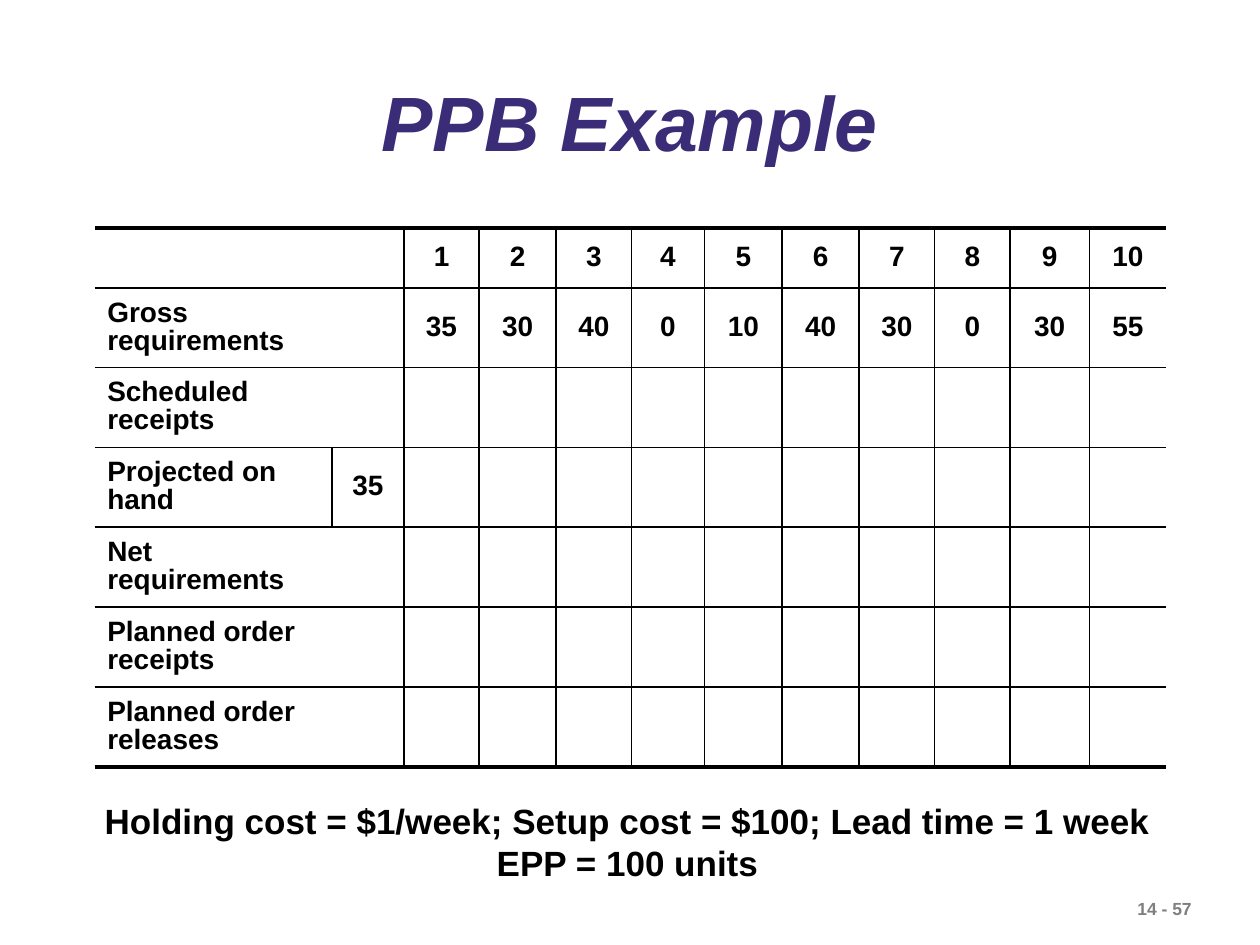
from lxml import etree
from pptx import Presentation
from pptx.dml.color import RGBColor
from pptx.enum.text import MSO_ANCHOR, PP_ALIGN
from pptx.oxml.ns import qn
from pptx.util import Cm, Pt

CENTER, LEFT = PP_ALIGN.CENTER, PP_ALIGN.LEFT
MIDDLE = MSO_ANCHOR.MIDDLE

COLORS = {"title": "3A2C76", "text": "000000", "rule": "000000", "number": "7F7F7F"}
FONT = "Arial"
THIN, THICK = 1.08, 2.21

COL_WIDTHS = [4.78, 1.45, 1.52, 1.55, 1.52, 1.47, 1.57, 1.55, 1.52, 1.52, 1.6, 1.55]
HEADER_HEIGHT, ROW_HEIGHT = 1.2, 1.61
ON_HAND_ROW = 3
PLAN = [
    ["", "", *range(1, 11)],
    ["Gross requirements", "", 35, 30, 40, 0, 10, 40, 30, 0, 30, 55],
    ["Scheduled receipts"],
    ["Projected on hand", 35],
    ["Net requirements"],
    ["Planned order receipts"],
    ["Planned order releases"],
]


def style_paragraph(p, size, color, align=LEFT, italic=False):
    p.alignment = align
    font = p.font
    font.name, font.size = FONT, Pt(size)
    font.bold, font.italic = True, italic
    font.color.rgb = RGBColor.from_string(COLORS[color])


def set_borders(cell, **widths):
    """Draw each side (L, R, T, B) at its width in points, or hide it if None."""
    tc_pr = cell._tc.get_or_add_tcPr()
    for side, width in widths.items():
        ln = etree.SubElement(tc_pr, qn(f"a:ln{side}"))
        if width is None:
            etree.SubElement(ln, qn("a:noFill"))
        else:
            ln.set("w", str(Pt(width)))
            fill = etree.SubElement(ln, qn("a:solidFill"))
            etree.SubElement(fill, qn("a:srgbClr"), val=COLORS["rule"])


def add_title(slide, left, top, width, height):
    sp = slide.shapes.title
    sp.left, sp.top, sp.width, sp.height = Cm(left), Cm(top), Cm(width), Cm(height)
    tf = sp.text_frame
    tf.text = "PPB Example"
    tf.vertical_anchor = MIDDLE
    p = tf.paragraphs[0]
    p.line_spacing = 0.9
    style_paragraph(p, 44, "title", CENTER, italic=True)


def add_plan_table(slide, left, top):
    n_rows, n_cols = len(PLAN), len(COL_WIDTHS)
    heights = [HEADER_HEIGHT] + [ROW_HEIGHT] * (n_rows - 1)
    frame = slide.shapes.add_table(n_rows, n_cols, Cm(left), Cm(top),
                                   Cm(sum(COL_WIDTHS)), Cm(sum(heights)))
    table = frame.table
    table.first_row = table.horz_banding = False
    for column, width in zip(table.columns, COL_WIDTHS):
        column.width = Cm(width)
    for row, height in zip(table.rows, heights):
        row.height = Cm(height)

    def rule_before(r, c):
        ruled = 2 <= c < n_cols or (r, c) == (ON_HAND_ROW, 1)
        return THIN if ruled else None

    for r, values in enumerate(PLAN):
        for c in range(n_cols):
            cell = table.cell(r, c)
            set_borders(cell, L=rule_before(r, c), R=rule_before(r, c + 1),
                        T=THICK if r == 0 else THIN,
                        B=THICK if r == n_rows - 1 else THIN)
            cell.fill.background()
            cell.vertical_anchor = MIDDLE
            p = cell.text_frame.paragraphs[0]
            p.line_spacing, p.space_after = 0.9, Pt(8)
            if c < len(values):
                p.text = str(values[c])
            style_paragraph(p, 16, "text", CENTER if c else LEFT)


def add_text(slide, box, lines, size, color, align=LEFT):
    tf = slide.shapes.add_textbox(*map(Cm, box)).text_frame
    tf.word_wrap = True
    tf.text = "\n".join(lines)
    for p in tf.paragraphs:
        style_paragraph(p, size, color, align)


def main():
    prs = Presentation()
    prs.slide_width, prs.slide_height = Cm(25.4), Cm(19.05)
    slide = prs.slides.add_slide(prs.slide_layouts[5])
    add_text(slide, (22.68, 17.98, 2.7, 0.69), ["14 - 57"], 10, "number")
    add_title(slide, 1.9, 1.3, 21.6, 2.51)
    add_plan_table(slide, 1.91, 4.6)
    add_text(slide, (1.8, 16, 21.7, 1.96),
             ["Holding cost = $1/week; Setup cost = $100; Lead time = 1 week",
              "EPP = 100 units"], 20, "text", CENTER)
    prs.save("out.pptx")


if __name__ == "__main__":
    main()
